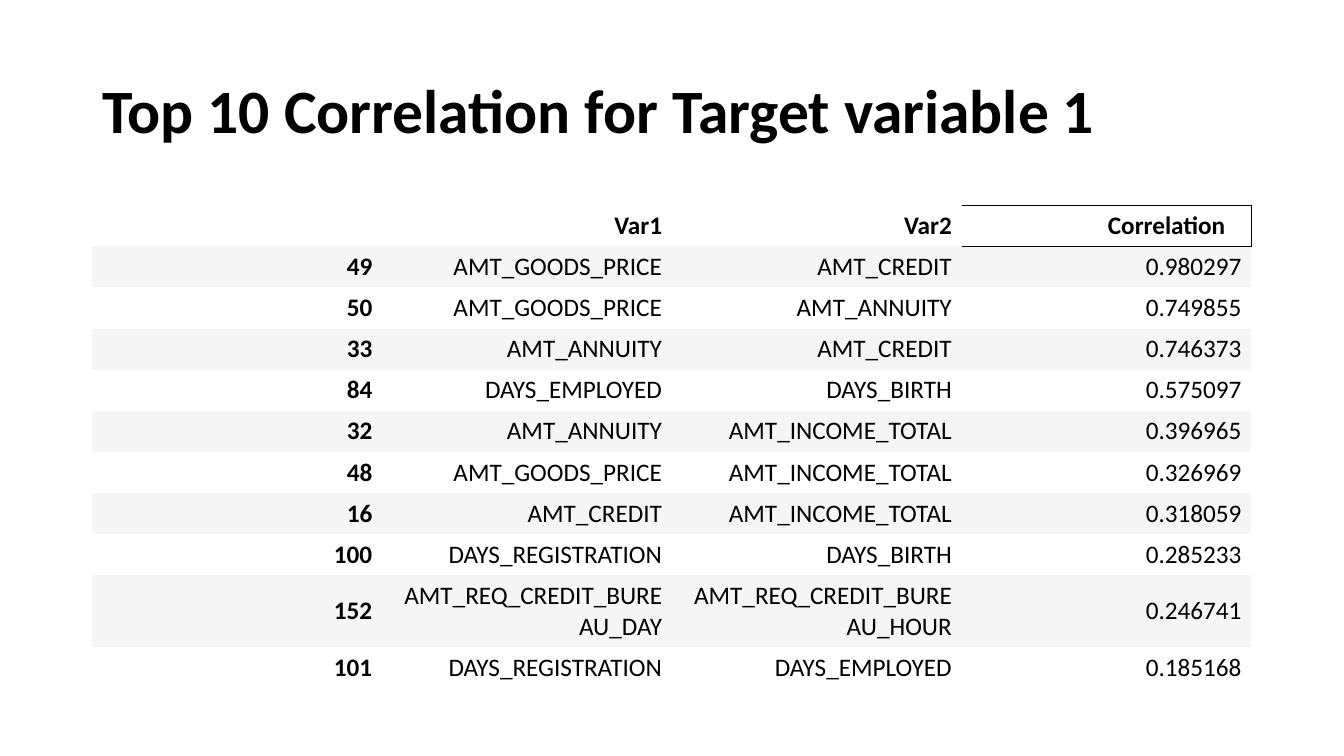
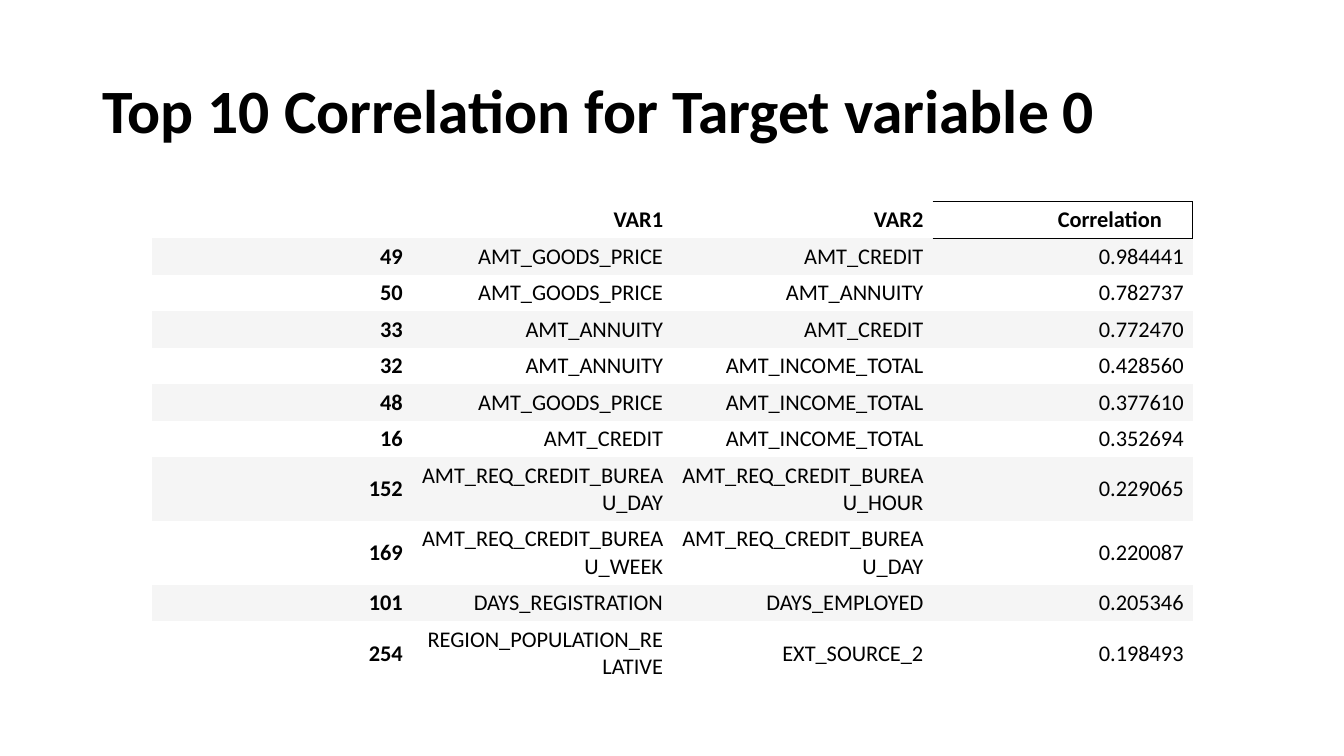
from lxml.etree import SubElement
from pptx import Presentation
from pptx.dml.color import RGBColor
from pptx.enum.text import MSO_ANCHOR as Anchor, PP_ALIGN as Align
from pptx.oxml import parse_xml
from pptx.oxml.ns import nsdecls, qn
from pptx.util import Cm, Pt

FONT = "Calibri"
BLACK, WHITE, STRIPE = "000000", "FFFFFF", "F5F5F5"
NO_STYLE = "{2D5ABB26-0587-4C30-8999-92F81FD0307C}"
TITLE_ONLY = 5
LONGEST_ON_ONE_LINE = 20

TARGET_1 = [
    ("", "Var1", "Var2", "Correlation"),
    ("49", "AMT_GOODS_PRICE", "AMT_CREDIT", "0.980297"),
    ("50", "AMT_GOODS_PRICE", "AMT_ANNUITY", "0.749855"),
    ("33", "AMT_ANNUITY", "AMT_CREDIT", "0.746373"),
    ("84", "DAYS_EMPLOYED", "DAYS_BIRTH", "0.575097"),
    ("32", "AMT_ANNUITY", "AMT_INCOME_TOTAL", "0.396965"),
    ("48", "AMT_GOODS_PRICE", "AMT_INCOME_TOTAL", "0.326969"),
    ("16", "AMT_CREDIT", "AMT_INCOME_TOTAL", "0.318059"),
    ("100", "DAYS_REGISTRATION", "DAYS_BIRTH", "0.285233"),
    ("152", "AMT_REQ_CREDIT_BUREAU_DAY", "AMT_REQ_CREDIT_BUREAU_HOUR", "0.246741"),
    ("101", "DAYS_REGISTRATION", "DAYS_EMPLOYED", "0.185168"),
]
TARGET_0 = [
    ("", "VAR1", "VAR2", "Correlation"),
    ("49", "AMT_GOODS_PRICE", "AMT_CREDIT", "0.984441"),
    ("50", "AMT_GOODS_PRICE", "AMT_ANNUITY", "0.782737"),
    ("33", "AMT_ANNUITY", "AMT_CREDIT", "0.772470"),
    ("32", "AMT_ANNUITY", "AMT_INCOME_TOTAL", "0.428560"),
    ("48", "AMT_GOODS_PRICE", "AMT_INCOME_TOTAL", "0.377610"),
    ("16", "AMT_CREDIT", "AMT_INCOME_TOTAL", "0.352694"),
    ("152", "AMT_REQ_CREDIT_BUREAU_DAY", "AMT_REQ_CREDIT_BUREAU_HOUR", "0.229065"),
    ("169", "AMT_REQ_CREDIT_BUREAU_WEEK", "AMT_REQ_CREDIT_BUREAU_DAY", "0.220087"),
    ("101", "DAYS_REGISTRATION", "DAYS_EMPLOYED", "0.205346"),
    ("254", "REGION_POPULATION_RELATIVE", "EXT_SOURCE_2", "0.198493"),
]


def color(hex_code):
    return RGBColor.from_string(hex_code)


def format_text(para, size, bold, align):
    para.alignment = align
    for span in para.runs:
        span.font.name = FONT
        span.font.size = Pt(size)
        span.font.bold = bold
        span.font.color.rgb = color(BLACK)
    if not para.runs:
        # An empty cell needs its own text size, or it stretches the row.
        SubElement(para._p, qn("a:endParaRPr"), sz=str(size * 100))


def add_title(page, text):
    title = page.shapes.title
    title.left, title.top = Cm(2.33), Cm(1.01)
    title.width, title.height = Cm(29.21), Cm(3.68)
    frame = title.text_frame
    frame.text = text
    frame.vertical_anchor = Anchor.MIDDLE
    frame.paragraphs[0].line_spacing = 0.9
    format_text(frame.paragraphs[0], 44, True, Align.LEFT)


def draw_borders(cell, sides):
    """Draw thin black lines on the given sides, out of L, R, T and B in this order."""
    for index, side in enumerate(sides):
        line = parse_xml(
            f'<a:ln{side} {nsdecls("a")} w="9525"><a:solidFill>'
            f'<a:srgbClr val="{BLACK}"/></a:solidFill></a:ln{side}>')
        cell._tc.get_or_add_tcPr().insert(index, line)


def fill_cell(cell, text, size, bold, background, margins):
    cell.text_frame.text = text
    cell.vertical_anchor = Anchor.MIDDLE
    cell.margin_left = cell.margin_right = Cm(margins[0])
    cell.margin_top = cell.margin_bottom = Cm(margins[1])
    cell.fill.solid()
    cell.fill.fore_color.rgb = color(background)
    format_text(cell.text_frame.paragraphs[0], size, bold, Align.RIGHT)


def add_correlations(page, rows, box, size, heights, margins, header_indent):
    """Fill the box (left, top, width) in cm; heights are for one and two lines."""
    left, top, width = box
    columns = len(rows[0])
    row_heights = [heights[max(map(len, row)) > LONGEST_ON_ONE_LINE] for row in rows]
    table = page.shapes.add_table(len(rows), columns, Cm(left), Cm(top),
                                  Cm(width), Cm(sum(row_heights))).table
    table._tbl.tblPr.find(qn("a:tableStyleId")).text = NO_STYLE
    for column in table.columns:
        column.width = Cm(width / columns)
    for r, row in enumerate(rows):
        table.rows[r].height = Cm(row_heights[r])
        for c, text in enumerate(row):
            fill_cell(table.cell(r, c), text, size, r == 0 or c == 0,
                      STRIPE if r % 2 else WHITE, margins)

    last_header = table.cell(0, columns - 1)
    last_header.vertical_anchor = Anchor.TOP
    last_header.margin_right = Cm(header_indent)
    last_header.fill.background()
    draw_borders(last_header, "RTB")


def add_page(deck, title, rows, **layout):
    page = deck.slides.add_slide(deck.slide_layouts[TITLE_ONLY])
    add_title(page, title)
    add_correlations(page, rows, **layout)


def main():
    deck = Presentation()
    deck.slide_width, deck.slide_height = Cm(33.87), Cm(19.05)
    add_page(deck, "Top 10 Correlation for Target variable 1", TARGET_1,
             box=(2.33, 5.17, 29.21), size=18, heights=(1.03, 1.8),
             margins=(0.25, 0.13), header_indent=0.66)
    add_page(deck, "Top 10 Correlation for Target variable 0", TARGET_0,
             box=(3.82, 5.08, 26.24), size=16, heights=(0.92, 1.61),
             margins=(0.23, 0.11), header_indent=0.78)
    deck.save("out.pptx")


if __name__ == "__main__":
    main()
